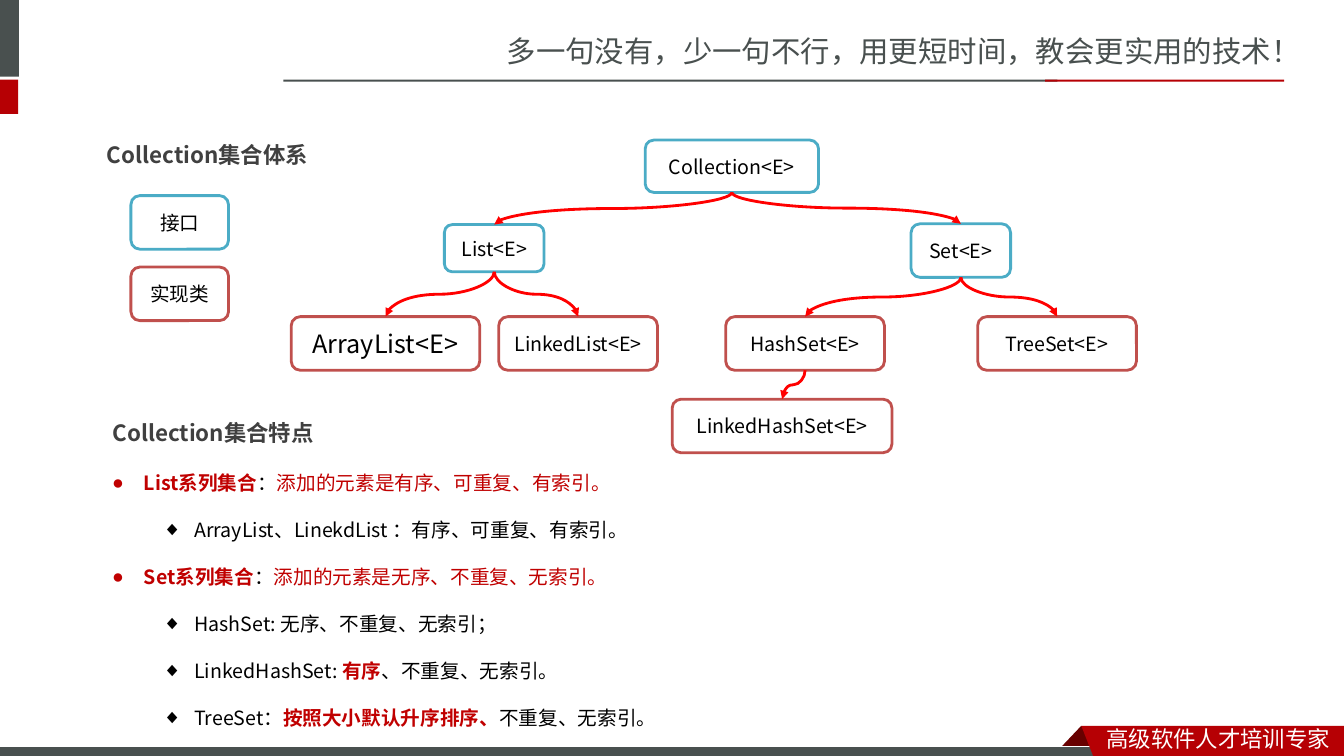
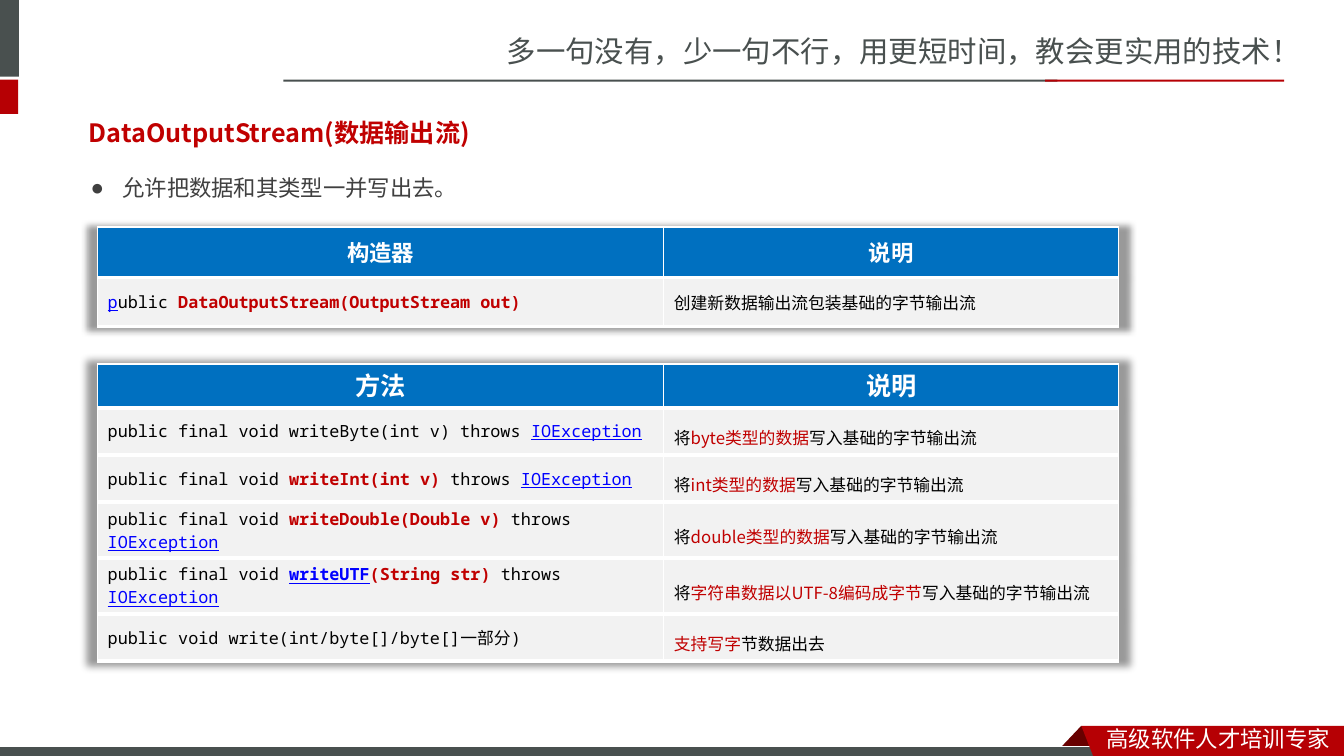
from lxml.etree import SubElement
from pptx import Presentation
from pptx.dml.color import RGBColor
from pptx.enum.shapes import MSO_CONNECTOR as Connector, MSO_SHAPE as Shape
from pptx.enum.text import MSO_ANCHOR as Anchor, MSO_AUTO_SIZE as AutoSize, PP_ALIGN as Align
from pptx.oxml import parse_xml
from pptx.oxml.ns import nsdecls, qn
from pptx.util import Cm, Pt

rgb = RGBColor.from_string
SLATE, CRIMSON, MAROON = "49504F", "B60004", "680000"
WHITE, BLACK, GRAPHITE, RED = "FFFFFF", "000000", "404040", "C00000"
TEAL, BRICK, ARROW = "4BACC6", "C0504D", "FF0000"
HEADER_BLUE, CELL_GREY, LINK_BLUE = "0070C0", "F2F2F2", "0000FF"
SANS, SANS_SC, MONO = "Noto Sans CJK JP", "Noto Sans CJK SC", "Noto Sans Mono"

# mark: colour, bold, underline
MARKS = {
    "black": (BLACK, False, False),
    "red": (RED, False, False),
    "strong": (RED, True, False),
    "link": (LINK_BLUE, False, True),
    "strong link": (LINK_BLUE, True, True),
}


def paint(shape, fill, line=None, weight=2):
    shape.shadow.inherit = False
    shape.fill.solid()
    shape.fill.fore_color.rgb = rgb(fill)
    if line:
        shape.line.color.rgb = rgb(line)
        shape.line.width = Pt(weight)
    else:
        shape.line.fill.background()


def write(para, text, size, font, color, bold=False, bullet=None, indent=0.8):
    """Fill a paragraph with a string or with a list of (text, mark) spans."""
    properties = para._p.get_or_add_pPr()
    if bullet:
        properties.set("marL", str(Cm(indent)))
        properties.set("indent", str(Cm(-0.8)))
        bullet_color = SubElement(properties, qn("a:buClr"))
        SubElement(bullet_color, qn("a:srgbClr"), val=color)
        SubElement(properties, qn("a:buChar"), char=bullet)
        para.space_before = Pt(0)
    para.font.name, para.font.size, para.font.bold = font, Pt(size), bold
    para.font.color.rgb = rgb(color)
    SubElement(properties.find(qn("a:defRPr")), qn("a:ea"),
               typeface=font if font in (SANS, SANS_SC) else SANS_SC)
    for words, mark in [(text, None)] if isinstance(text, str) else text:
        span = para.add_run()
        span.text = words
        if mark:
            span_color, span.font.bold, span.font.underline = MARKS[mark]
            span.font.color.rgb = rgb(span_color)


deck = Presentation()
deck.slide_width, deck.slide_height = Cm(33.87), Cm(19.05)
layout = deck.slide_layouts[1]
tree_page = deck.slides.add_slide(layout)
stream_page = deck.slides.add_slide(layout)

# Shared bands, ribbon and slogans, kept on the layout
furniture = []
for left, top, width, height, color in [
    (-0.15, 0, 0.63, 1.93, SLATE),
    (-0.15, 2.01, 0.61, 0.86, CRIMSON),
    (7.14, 2.01, 19.51, 0.05, SLATE),
    (26.34, 2.01, 6.02, 0.05, CRIMSON),
]:
    band = tree_page.shapes.add_shape(Shape.RECTANGLE, Cm(left), Cm(top), Cm(width), Cm(height))
    paint(band, color)
    furniture.append(band)

ribbon_fold = [(27.25, 18.29), (27.81, 18.87), (26.7, 18.87)]
ribbon = [(27.25, 18.29), (33.87, 18.29), (33.87, 19.15), (27.58, 19.13)]
for outline, color in [(ribbon_fold, MAROON), (ribbon, CRIMSON)]:
    points = [(Cm(x), Cm(y)) for x, y in outline]
    builder = tree_page.shapes.build_freeform(*points[0])
    builder.add_line_segments(points[1:], close=True)
    piece = builder.convert_to_shape()
    paint(piece, color)
    furniture.append(piece)

footer_bar = tree_page.shapes.add_shape(Shape.RECTANGLE, Cm(-0.03), Cm(18.82), Cm(27.94), Cm(0.3))
paint(footer_bar, SLATE, WHITE, 0.75)
furniture.insert(-1, footer_bar)

for text, left, top, width, height, size, color in [
    ("多一句没有，少一句不行，用更短时间，教会更实用的技术！", 12.52, 0.71, 21.4, 1.19, 21, SLATE),
    ("高级软件人才培训专家", 27.64, 18.16, 6.3, 0.94, 16, WHITE),
]:
    slogan = tree_page.shapes.add_textbox(Cm(left), Cm(top), Cm(width), Cm(height))
    slogan.text_frame.word_wrap = True
    write(slogan.text_frame.paragraphs[0], text, size, SANS_SC, color)
    furniture.append(slogan)

for number, item in enumerate(furniture, 101):
    item.element.xpath(".//p:cNvPr")[0].set("id", str(number))
    layout.shapes.element.append(item.element)

# Titles and headings
tree_title, tree_body = tree_page.placeholders
stream_title, stream_body = stream_page.placeholders
features_heading = tree_page.shapes.add_textbox(0, 0, 0, 0)
for box, left, top, width, height in [
    (tree_title, 2.44, 3.05, 6.1, 1.19),
    (features_heading, 2.59, 10.06, 6.35, 1.19),
    (tree_body, 2.57, 11.15, 21.9, 7.29),
    (stream_title, 1.78, 2.82, 10.52, 1.02),
    (stream_body, 2.03, 4.27, 11, 0.94),
]:
    box.left, box.top, box.width, box.height = Cm(left), Cm(top), Cm(width), Cm(height)
    box.text_frame.word_wrap = True
    box.text_frame.auto_size = AutoSize.NONE
    box.text_frame.vertical_anchor = Anchor.TOP

for box, text in [(tree_title, "Collection集合体系"), (features_heading, "Collection集合特点")]:
    para = box.text_frame.paragraphs[0]
    para.alignment = Align.LEFT
    para.line_spacing = Pt(30)
    write(para, text, 16, SANS, GRAPHITE, bold=True)

para = stream_title.text_frame.paragraphs[0]
para.alignment = Align.CENTER
write(para, "DataOutputStream(数据输出流)", 18, SANS, RED, bold=True)
write(stream_body.text_frame.paragraphs[0], "允许把数据和其类型一并写出去。", 16, MONO, GRAPHITE, bullet="●")

# Feature list
features = [
    (0, [("List系列集合", "strong"), ("：", "black"), ("添加的元素是有序、可重复、有索引。", None)]),
    (1, "ArrayList、LinekdList ：有序、可重复、有索引。"),
    (0, [("Set系列集合", "strong"), ("：", "black"), ("添加的元素是无序、不重复、无索引。", None)]),
    (1, "HashSet: 无序、不重复、无索引；"),
    (1, [("LinkedHashSet: ", None), ("有序", "strong"), ("、不重复、无索引。", None)]),
    (1, [("TreeSet：", None), ("按照大小默认升序排序、", "strong"), ("不重复、无索引。", None)]),
]
frame = tree_body.text_frame
for index, (level, text) in enumerate(features):
    para = frame.add_paragraph() if index else frame.paragraphs[0]
    para.level = level
    para.line_spacing = Pt(33.6)
    write(para, text, 14, SANS, BLACK if level else RED,
          bullet="●◆"[level], indent=0.8 + 1.27 * level)

# Class tree with its legend
nodes = {}
for name, left, top, width, height, color in [
    ("接口", 3.3, 4.93, 2.46, 1.35, TEAL),
    ("实现类", 3.3, 6.73, 2.46, 1.35, BRICK),
    ("Collection<E>", 16.26, 3.53, 4.37, 1.32, TEAL),
    ("List<E>", 11.2, 5.66, 2.51, 1.19, TEAL),
    ("Set<E>", 22.96, 5.64, 2.51, 1.35, TEAL),
    ("ArrayList<E>", 7.34, 7.98, 4.75, 1.35, BRICK),
    ("LinkedList<E>", 12.57, 7.98, 4, 1.35, BRICK),
    ("HashSet<E>", 18.29, 7.98, 4, 1.35, BRICK),
    ("TreeSet<E>", 24.64, 7.98, 4, 1.35, BRICK),
    ("LinkedHashSet<E>", 16.94, 10.06, 5.54, 1.35, BRICK),
]:
    node = tree_page.shapes.add_shape(
        Shape.ROUNDED_RECTANGLE, Cm(left), Cm(top), Cm(width), Cm(height))
    paint(node, WHITE, color)
    para = node.text_frame.paragraphs[0]
    para.alignment = Align.CENTER
    write(para, name, 18 if name == "ArrayList<E>" else 14, SANS, BLACK)
    nodes[name] = node

for parent_name, child_name in [
    ("Collection<E>", "List<E>"),
    ("Collection<E>", "Set<E>"),
    ("List<E>", "ArrayList<E>"),
    ("List<E>", "LinkedList<E>"),
    ("Set<E>", "HashSet<E>"),
    ("Set<E>", "TreeSet<E>"),
    ("HashSet<E>", "LinkedHashSet<E>"),
]:
    parent, child = nodes[parent_name], nodes[child_name]
    start_x, start_y = parent.left + parent.width // 2, parent.top + parent.height
    end_x, end_y = child.left + child.width // 2, child.top
    arrow = tree_page.shapes.add_connector(Connector.CURVE, start_x, start_y, end_x, end_y)
    arrow.begin_connect(parent, 2)
    arrow.end_connect(child, 0)
    # A curve that leaves downwards is a sideways curve turned by a quarter
    arrow.width, arrow.height = end_y - start_y, abs(end_x - start_x)
    arrow.left = (start_x + end_x - arrow.width) // 2
    arrow.top = (start_y + end_y - arrow.height) // 2
    to_right = end_x > start_x
    turn = arrow.element.spPr.find(qn("a:xfrm"))
    turn.set("rot", str((270 if to_right else 90) * 60000))
    turn.set("flipH", "1" if to_right else "0")
    arrow.line.color.rgb = rgb(ARROW)
    arrow.line.width = Pt(2)
    SubElement(arrow.line._get_or_add_ln(), qn("a:tailEnd"), type="triangle")
    SubElement(arrow.element.spPr, qn("a:effectLst"))

# Constructor and method tables
constructors = [
    ([("p", "link"), ("ublic ", None), ("DataOutputStream(OutputStream out)", "strong")],
     "创建新数据输出流包装基础的字节输出流"),
]
FINAL, THROWS = ("public final void ", None), ("throws ", None)
EXCEPTION, WRITES = ("IOException", "link"), ("写入基础的字节输出流", None)
methods = [
    ([("public final void writeByte(int v) throws ", None), EXCEPTION],
     [("将", None), ("byte类型的数据", "red"), WRITES]),
    ([FINAL, ("writeInt(int v) ", "strong"), THROWS, EXCEPTION],
     [("将", None), ("int类型的数据", "red"), WRITES]),
    ([FINAL, ("writeDouble(Double v) ", "strong"), THROWS, EXCEPTION],
     [("将", None), ("double类型的数据", "red"), WRITES]),
    ([FINAL, ("writeUTF", "strong link"), ("(String str) ", "strong"), THROWS, EXCEPTION],
     [("将", None), ("字符串数据以UTF-8编码成字节", "red"), WRITES]),
    ("public void write(int/byte[]/byte[]一部分)",
     [("支持写字", "red"), ("节数据出去", None)]),
]
for heading, rows, top, header_height, row_height, header_size, header_spacing, note_spacing in [
    ("构造器", constructors, 5.72, 1.27, 1.24, 16, None, None),
    ("方法", methods, 9.17, 1.09, 1.19, 18, Pt(24), 1.5),
]:
    table_frame = stream_page.shapes.add_table(
        len(rows) + 1, 2, Cm(2.46), Cm(top), Cm(25.73), Cm(header_height + row_height * len(rows)))
    table = table_frame.table
    table.columns[0].width, table.columns[1].width = Cm(14.27), Cm(11.46)
    table._tbl.tblPr.insert(0, parse_xml(
        f'<a:effectLst {nsdecls("a")}><a:outerShdw blurRad="63500" sx="102000" sy="102000" '
        'algn="ctr" rotWithShape="0"><a:srgbClr val="000000"><a:alpha val="40000"/></a:srgbClr>'
        '</a:outerShdw></a:effectLst>'))
    for row_index, texts in enumerate([(heading, "说明")] + rows):
        is_header = row_index == 0
        table.rows[row_index].height = Cm(header_height if is_header else row_height)
        for column_index, text in enumerate(texts):
            cell = table.cell(row_index, column_index)
            cell.vertical_anchor = Anchor.MIDDLE
            cell.fill.solid()
            cell.fill.fore_color.rgb = rgb(HEADER_BLUE if is_header else CELL_GREY)
            top_weight = 1 if is_header else 3
            for place, (side, weight) in enumerate(
                    [("lnL", 1), ("lnR", 1), ("lnT", top_weight), ("lnB", 3)]):
                cell._tc.tcPr.insert(place, parse_xml(
                    f'<a:{side} {nsdecls("a")} w="{Pt(weight)}"><a:solidFill>'
                    f'<a:srgbClr val="{WHITE}"/></a:solidFill></a:{side}>'))
            para = cell.text_frame.paragraphs[0]
            if is_header:
                para.alignment = Align.CENTER
                para.line_spacing = header_spacing
                write(para, text, header_size, "Calibri", WHITE, bold=True)
            else:
                para.line_spacing = note_spacing if column_index else None
                write(para, text, 12, SANS if column_index else MONO, BLACK)

deck.save("out.pptx")
